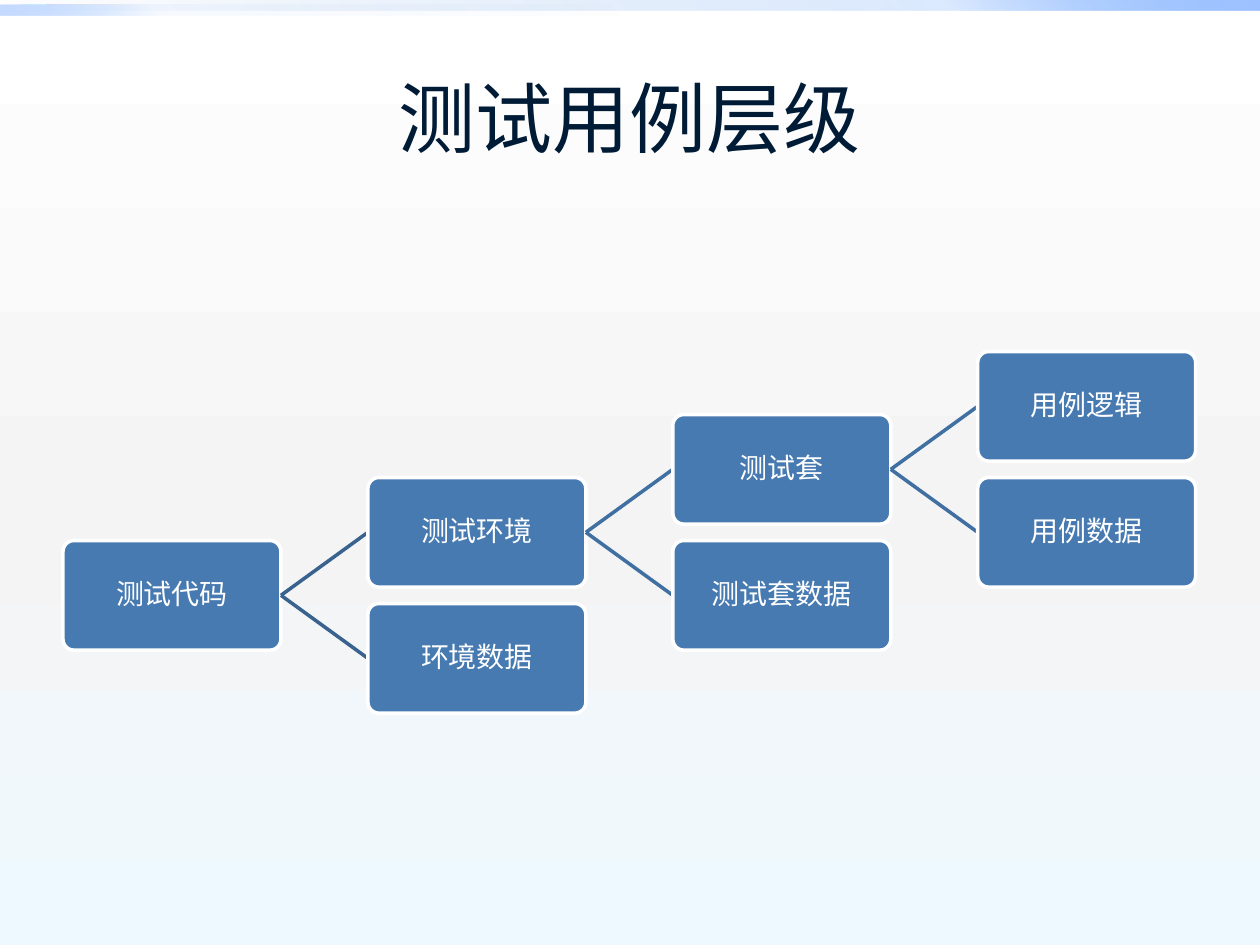
from dataclasses import dataclass

from lxml.etree import SubElement
from pptx import Presentation
from pptx.dml.color import RGBColor
from pptx.enum.shapes import MSO_CONNECTOR, MSO_SHAPE
from pptx.enum.text import MSO_ANCHOR, PP_ALIGN
from pptx.oxml.ns import qn
from pptx.util import Inches, Pt


@dataclass(frozen=True)
class Theme:
    title_font: str = "Roboto"
    box_font: str = "Cambria"
    title_size: int = 44
    box_size: int = 16
    line_width: int = 2
    title_color: str = "001B36"
    white: str = "FFFFFF"
    box_fill: str = "477AB1"
    first_link: str = "39628E"
    deeper_link: str = "406FA1"
    # Gradient stops: position in percent, colour, opacity in percent
    background: tuple = ((0, "FFFFFF", 100), (55, "F4F4F4", 100), (100, "EEF9FF", 100))
    wide_bar: tuple = ((0, "0058B7", 0), (75, "4F95FF", 20), (100, "9EC2FF", 100))
    short_bar: tuple = ((0, "0058B7", 0), (75, "4F95FF", 5), (100, "9EC2FF", 60))


# Each node is a label followed by its children
TREE = (
    "测试代码",
    ("测试环境",
     ("测试套", ("用例逻辑",), ("用例数据",)),
     ("测试套数据",)),
    ("环境数据",),
)
ROOT_LEFT, ROOT_TOP = 0.5, 4.29
BOX_WIDTH, BOX_HEIGHT = 1.73, 0.87
COLUMN_STEP = 2.42
ROW_STEP = 0.5


class SlideBuilder:
    def __init__(self, page, theme):
        self.page = page
        self.theme = theme

    def apply_gradient(self, fill, properties, stops, angle):
        """Swap the solid fill inside properties for a linear gradient."""
        fill.solid()
        solid = properties.find(qn("a:solidFill"))
        gradient = SubElement(properties, qn("a:gradFill"), rotWithShape="1")
        stop_list = SubElement(gradient, qn("a:gsLst"))
        for position, color, opacity in stops:
            stop = SubElement(stop_list, qn("a:gs"), pos=str(position * 1000))
            shade = SubElement(stop, qn("a:srgbClr"), val=color)
            SubElement(shade, qn("a:alpha"), val=str(opacity * 1000))
        SubElement(gradient, qn("a:lin"), ang=str(angle * 60000), scaled="0")
        properties.replace(solid, gradient)

    def background(self):
        fill = self.page.background.fill
        fill.solid()
        properties = next(self.page._element.iter(qn("p:bgPr")))
        self.apply_gradient(fill, properties, self.theme.background, 90)

    def bar(self, top, width, stops, angle):
        bar = self.page.shapes.add_shape(
            MSO_SHAPE.RECTANGLE, 0, Inches(top), Inches(width), Inches(0.08))
        bar.shadow.inherit = False
        bar.line.fill.background()
        self.apply_gradient(bar.fill, bar._element.spPr, stops, angle)

    def label(self, frame, text, font, size, color):
        frame.vertical_anchor = MSO_ANCHOR.MIDDLE
        frame.word_wrap = True
        para = frame.paragraphs[0]
        para.alignment = PP_ALIGN.CENTER
        span = para.add_run()
        span.text = text
        for name, value in {"name": font, "size": Pt(size)}.items():
            setattr(span.font, name, value)
        span.font.color.rgb = RGBColor.from_string(color)
        return para

    def title(self, text):
        title = self.page.shapes.title
        place = {"left": 0.5, "top": 0.3, "width": 9, "height": 1.25}
        for name, value in place.items():
            setattr(title, name, Inches(value))
        theme = self.theme
        self.label(title.text_frame, text, theme.title_font, theme.title_size,
                   theme.title_color)

    def box(self, text, left, top):
        theme = self.theme
        box = self.page.shapes.add_shape(
            MSO_SHAPE.ROUNDED_RECTANGLE, Inches(left), Inches(top),
            Inches(BOX_WIDTH), Inches(BOX_HEIGHT))
        box.adjustments[0] = 0.1
        box.shadow.inherit = False
        box.fill.solid()
        box.fill.fore_color.rgb = RGBColor.from_string(theme.box_fill)
        box.line.color.rgb = RGBColor.from_string(theme.white)
        box.line.width = Pt(theme.line_width)
        for side in ("left", "top", "right", "bottom"):
            setattr(box.text_frame, f"margin_{side}", Inches(0.01))
        para = self.label(box.text_frame, text, theme.box_font, theme.box_size,
                          theme.white)
        para.line_spacing = 0.9
        return box

    def link(self, parent, child, color):
        """Join two boxes, with the line kept behind the child."""
        link = self.page.shapes.add_connector(MSO_CONNECTOR.STRAIGHT, 0, 0, 0, 0)
        link.begin_connect(parent, 3)
        link.end_connect(child, 1)
        link.line.color.rgb = RGBColor.from_string(color)
        link.line.width = Pt(self.theme.line_width)
        SubElement(link._element.spPr, qn("a:effectLst"))
        child._element.addprevious(link._element)

    def tree(self, node, column=0, row=0):
        """Draw a node, then its children one row step above and below it."""
        text, *children = node
        box = self.box(text, ROOT_LEFT + column * COLUMN_STEP,
                       ROOT_TOP + row * ROW_STEP)
        color = self.theme.deeper_link if column else self.theme.first_link
        for child, shift in zip(children, (-1, 1)):
            child_box = self.tree(child, column + 1, row + shift)
            self.link(box, child_box, color)
        return box


def main():
    deck = Presentation()
    deck.slide_width, deck.slide_height = Inches(10), Inches(7.5)
    theme = Theme()
    builder = SlideBuilder(deck.slides.add_slide(deck.slide_layouts[5]), theme)
    builder.background()
    builder.bar(0, 10, theme.wide_bar, 315)
    builder.bar(0.04, 5, theme.short_bar, 135)
    builder.title("测试用例层级")
    builder.tree(TREE)
    deck.save("out.pptx")


if __name__ == "__main__":
    main()
